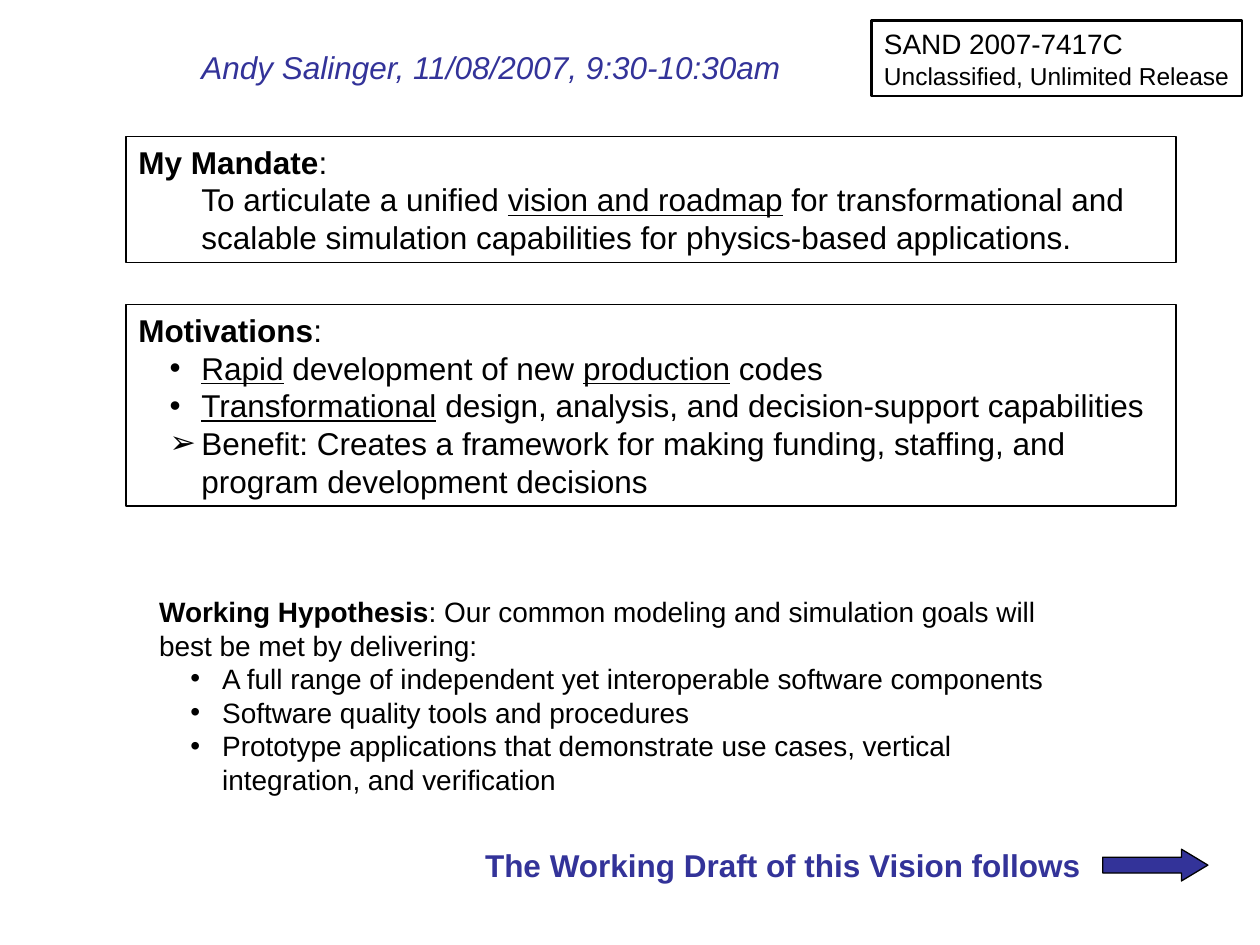
from dataclasses import dataclass

from lxml.etree import SubElement
from pptx import Presentation
from pptx.dml.color import RGBColor
from pptx.enum.shapes import MSO_SHAPE as Preset
from pptx.enum.text import MSO_ANCHOR as Anchor, MSO_AUTO_SIZE as AutoSize, PP_ALIGN as Align
from pptx.oxml.ns import qn
from pptx.util import Cm, Pt


@dataclass(frozen=True)
class Theme:
    font: str = "Arial"
    ink: str = "000000"
    accent: str = "333399"
    large: int = 18
    medium: int = 16
    small: int = 14
    thin: float = 0.75
    thick: float = 1.5
    indent: float = 1.27
    hanging: float = 0.64


def run(text, **formats):
    return text, formats


def line(*runs, bullet=None, indented=False):
    return runs, bullet, indented or bullet is not None


class SlideBuilder:
    def __init__(self, slide, theme):
        self.slide = slide
        self.theme = theme

    def outline(self, shape, width):
        shape.shadow.inherit = False
        shape.line.color.rgb = RGBColor.from_string(self.theme.ink)
        shape.line.width = Pt(width)

    def fill_text(self, shape, lines, size, color=None, wrap=True):
        frame = shape.text_frame
        frame.word_wrap = wrap
        frame.auto_size = AutoSize.SHAPE_TO_FIT_TEXT
        frame.vertical_anchor = Anchor.TOP
        for index, (runs, bullet, indented) in enumerate(lines):
            paragraph = frame.add_paragraph() if index else frame.paragraphs[0]
            paragraph.alignment = Align.LEFT
            if indented:
                self.indent(paragraph, bullet)
            for text, formats in runs:
                piece = paragraph.add_run()
                piece.text = text
                font = piece.font
                font.name = self.theme.font
                font.size = Pt(formats.get("size", size))
                font.color.rgb = RGBColor.from_string(color or self.theme.ink)
                font.bold = formats.get("bold")
                font.italic = formats.get("italic")
                font.underline = formats.get("underline")

    def indent(self, paragraph, bullet):
        paragraph.level = 1
        properties = paragraph._p.get_or_add_pPr()
        properties.set("marL", str(Cm(self.theme.indent)))
        properties.set("indent", str(-Cm(self.theme.hanging) if bullet else 0))
        if bullet:
            bullet_color = SubElement(properties, qn("a:buClr"))
            SubElement(bullet_color, qn("a:srgbClr"), val=self.theme.ink)
            SubElement(properties, qn("a:buFont"), typeface=self.theme.font)
            SubElement(properties, qn("a:buChar"), char=bullet)

    def text(self, place, lines, size, **options):
        shape = self.slide.shapes.add_textbox(*map(Cm, place))
        self.fill_text(shape, lines, size, **options)

    def box(self, place, lines, size, width, **options):
        shape = self.slide.shapes.add_shape(Preset.RECTANGLE, *map(Cm, place))
        shape.fill.background()
        self.outline(shape, width)
        self.fill_text(shape, lines, size, **options)

    def arrow(self, place):
        shape = self.slide.shapes.add_shape(Preset.RIGHT_ARROW, *map(Cm, place))
        shape.adjustments[1] = 0.83
        shape.fill.solid()
        shape.fill.fore_color.rgb = RGBColor.from_string(self.theme.accent)
        self.outline(shape, self.theme.thin)


def main():
    presentation = Presentation()
    presentation.slide_width = Cm(25.4)
    presentation.slide_height = Cm(19.05)
    theme = Theme()
    builder = SlideBuilder(presentation.slides.add_slide(presentation.slide_layouts[6]), theme)

    builder.box((2.54, 2.75, 21.17, 2.54), [
        line(run("My Mandate", bold=True), run(":")),
        line(run("To articulate a unified "), run("vision and roadmap", underline=True),
             run(" for transformational and scalable simulation capabilities "
                 "for physics-based applications."), indented=True),
    ], theme.large, theme.thin)
    builder.text((9.53, 16.93, 12.7, 1.02), [
        line(run("The Working Draft of this Vision follows", bold=True)),
    ], theme.large, color=theme.accent)
    builder.box((2.54, 6.14, 21.17, 4.06), [
        line(run("Motivations", bold=True), run(":")),
        line(run("Rapid", underline=True), run(" development of new "),
             run("production", underline=True), run(" codes"), bullet="•"),
        line(run("Transformational", underline=True),
             run(" design, analysis, and decision-support capabilities"), bullet="•"),
        line(run("Benefit: Creates a framework for making funding, staffing, "
                 "and program development decisions"), bullet="➢"),
    ], theme.large, theme.thin)
    builder.arrow((22.23, 17.12, 2.12, 0.64))

    deliverables = (
        "A full range of independent yet interoperable software components",
        "Software quality tools and procedures",
        "Prototype applications that demonstrate use cases, vertical integration, and verification",
    )
    builder.text((2.96, 11.86, 19.05, 4.32), [
        line(run("Working Hypothesis", bold=True),
             run(": Our common modeling and simulation goals will best be met by delivering:")),
        *(line(run(deliverable), bullet="•") for deliverable in deliverables),
    ], theme.medium)
    builder.text((3.81, 0.85, 12.28, 1.02), [
        line(run("Andy Salinger, 11/08/2007, 9:30-10:30am", italic=True)),
    ], theme.large, color=theme.accent, wrap=False)
    builder.box((17.57, 0.42, 7.47, 1.52), [
        line(run("SAND 2007-7417C")),
        line(run("Unclassified, Unlimited Release", size=theme.small)),
    ], theme.medium, theme.thick, wrap=False)

    presentation.save("out.pptx")


if __name__ == "__main__":
    main()
